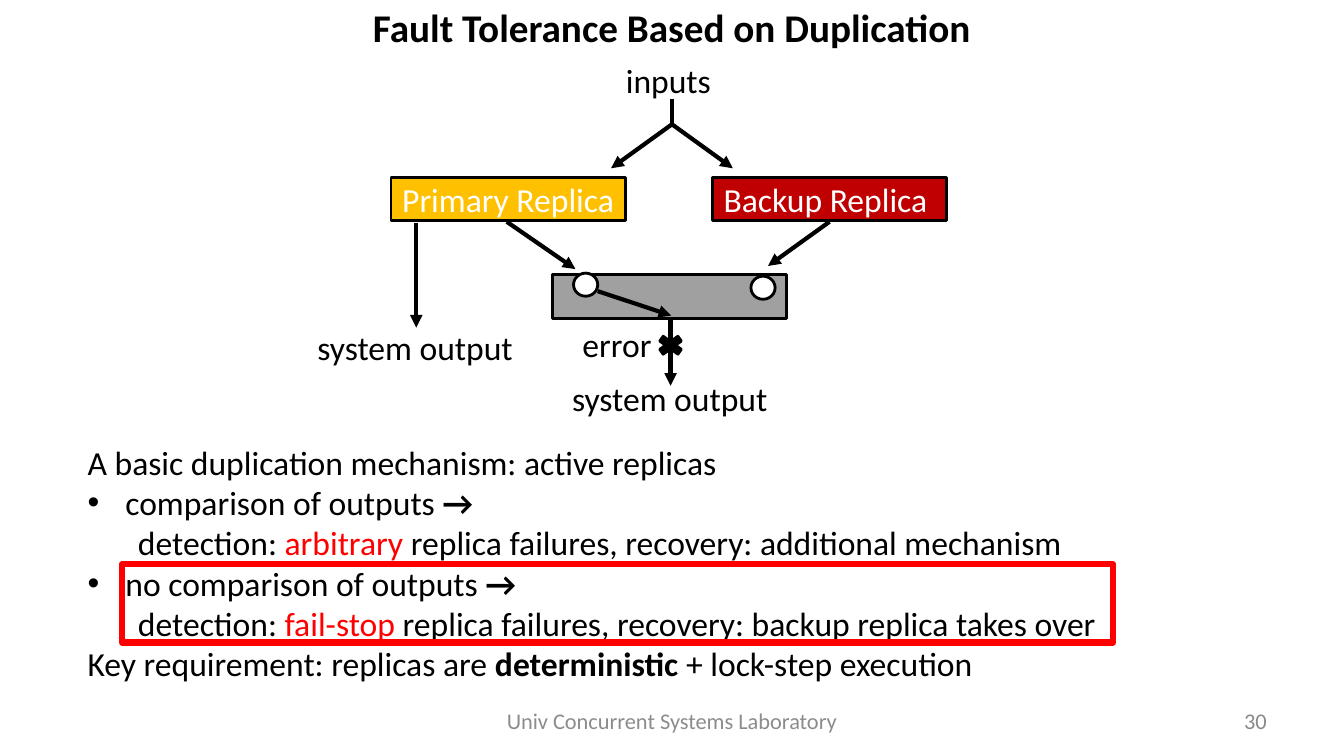
from lxml import etree
from pptx import Presentation
from pptx.dml.color import RGBColor
from pptx.enum import shapes as sh, text as tx
from pptx.oxml import ns
from pptx.util import Pt

BLACK = RGBColor(0x00, 0x00, 0x00)
WHITE = RGBColor(0xFF, 0xFF, 0xFF)
RED = RGBColor(0xFF, 0x00, 0x00)
GOLD = RGBColor(0xFF, 0xC0, 0x00)
CRIMSON = RGBColor(0xC0, 0x00, 0x00)
GRAY = RGBColor(0xA0, 0xA0, 0xA0)
FOOT = RGBColor(0x8C, 0x8C, 0x8C)
PAGE = RGBColor(0x89, 0x89, 0x89)

LEFT, MID, RIGHT = tx.PP_ALIGN.LEFT, tx.PP_ALIGN.CENTER, tx.PP_ALIGN.RIGHT
TOP, CENTER = tx.MSO_ANCHOR.TOP, tx.MSO_ANCHOR.MIDDLE
KIND = sh.MSO_SHAPE


def add_run(para, words, size=24, color=BLACK, bold=False):
    run = para.add_run()
    run.text = words
    font = run.font
    font.name, font.size, font.bold = "Calibri", Pt(size), bold
    font.color.rgb = color


def write(shape, words, align=LEFT, anchor=TOP, wrap=False, **style):
    frame = shape.text_frame
    frame.word_wrap = wrap
    frame.vertical_anchor = anchor
    para = frame.paragraphs[0]
    para.alignment = align
    add_run(para, words, **style)


def add_box(slide, x, y, w, h):
    return slide.shapes.add_textbox(Pt(x), Pt(y), Pt(w), Pt(h))


def add_form(slide, kind, x, y, w, h, fill=None, line=BLACK, width=2):
    form = slide.shapes.add_shape(kind, Pt(x), Pt(y), Pt(w), Pt(h))
    form.shadow.inherit = False
    if fill is None:
        form.fill.background()
    else:
        form.fill.solid()
        form.fill.fore_color.rgb = fill
    form.line.color.rgb = line
    form.line.width = Pt(width)
    return form


def add_line(slide, x1, y1, x2, y2, head=True):
    line = slide.shapes.add_connector(
        sh.MSO_CONNECTOR.STRAIGHT, Pt(x1), Pt(y1), Pt(x2), Pt(y2))
    line.line.color.rgb = BLACK
    line.line.width = Pt(3)
    if head:
        etree.SubElement(line.line._ln, ns.qn("a:tailEnd"), type="triangle")
    etree.SubElement(line._element.spPr, ns.qn("a:effectLst"))


def add_body(slide, rows):
    frame = add_box(slide, 55.5, 311.8, 747.5, 181.5).text_frame
    frame.word_wrap = True
    for i, (kind, runs) in enumerate(rows):
        para = frame.paragraphs[0] if i == 0 else frame.add_paragraph()
        props = para._p.get_or_add_pPr()
        if kind == "bullet":
            props.set("marL", str(Pt(27)))
            props.set("indent", str(-Pt(27)))
            etree.SubElement(props, ns.qn("a:buFont"), typeface="Arial")
            etree.SubElement(props, ns.qn("a:buChar"), char="•")
        elif kind == "detail":
            para.level = 1
            props.set("marL", str(Pt(36)))
            props.set("indent", "0")
        for words, style in runs:
            add_run(para, words, **style)


def main():
    deck = Presentation()
    deck.slide_width, deck.slide_height = Pt(960), Pt(540)
    slide = deck.slides.add_slide(deck.slide_layouts[6])

    # Title and footer
    write(add_box(slide, 254, -13, 451.5, 65), "Fault Tolerance Based on Duplication",
          align=MID, anchor=CENTER, wrap=True, size=28, bold=True)
    write(add_box(slide, 328, 500.5, 304, 28.8), "Univ Concurrent Systems Laboratory",
          align=MID, anchor=CENTER, wrap=True, size=16, color=FOOT)
    write(add_box(slide, 688, 500.5, 224, 28.8), "30",
          align=RIGHT, anchor=CENTER, wrap=True, size=16, color=PAGE)

    # Explanation
    bold, red = {"bold": True}, {"color": RED}
    add_body(slide, [
        ("plain", [("A basic duplication mechanism: active replicas", {})]),
        ("bullet", [("comparison of outputs ", {}), ("→", bold)]),
        ("detail", [("detection: ", {}), ("arbitrary ", red),
                    ("replica failures, recovery: additional mechanism", {})]),
        ("bullet", [("no comparison of outputs ", {}), ("→", bold)]),
        ("detail", [("detection: ", {}), ("fail-stop", red),
                    (" replica failures, recovery: backup replica takes over", {})]),
        ("plain", [("Key requirement: replicas are ", {}), ("deterministic", bold),
                   (" + lock-step execution", {})]),
    ])
    add_form(slide, KIND.RECTANGLE, 87.3, 403, 707.7, 56, line=RED, width=4.5)

    # Replicas
    for x, name, fill in ((279.3, "Primary Replica", GOLD),
                          (508.7, "Backup Replica ", CRIMSON)):
        form = add_form(slide, KIND.RECTANGLE, x, 126.7, 167.3, 31, fill)
        write(form, name, align=MID, anchor=CENTER, color=WHITE)

    # Diagram labels
    for x, y, w, words in ((440, 39.6, 80, "inputs"), (409, 227.5, 64, "error"),
                           (219.6, 229.7, 156, "system output"),
                           (401.5, 266.4, 156, "system output")):
        write(add_box(slide, x, y, w, 36), words)

    # Inputs and outputs of the replicas
    add_line(slide, 480, 70.5, 480, 90, head=False)
    for ends in ((480, 88.8, 436.5, 120.2), (480, 88.8, 523.5, 120.2),
                 (297.3, 159, 297.3, 234), (362, 158.4, 411, 192.2),
                 (592.5, 158.4, 548.6, 190), (479, 227, 479, 275.5)):
        add_line(slide, *ends)
    add_form(slide, KIND.MATH_MULTIPLY, 466.5, 237.6, 25, 18, BLACK)

    # Output switch
    add_form(slide, KIND.RECTANGLE, 394.6, 196.2, 167.3, 31.3, GRAY)
    for x, y in ((409.7, 195.1), (536.4, 197.3)):
        add_form(slide, KIND.OVAL, x, y, 17.3, 16.5, WHITE)
    add_line(slide, 427, 208, 479.5, 225.4)

    deck.save("out.pptx")


if __name__ == "__main__":
    main()
